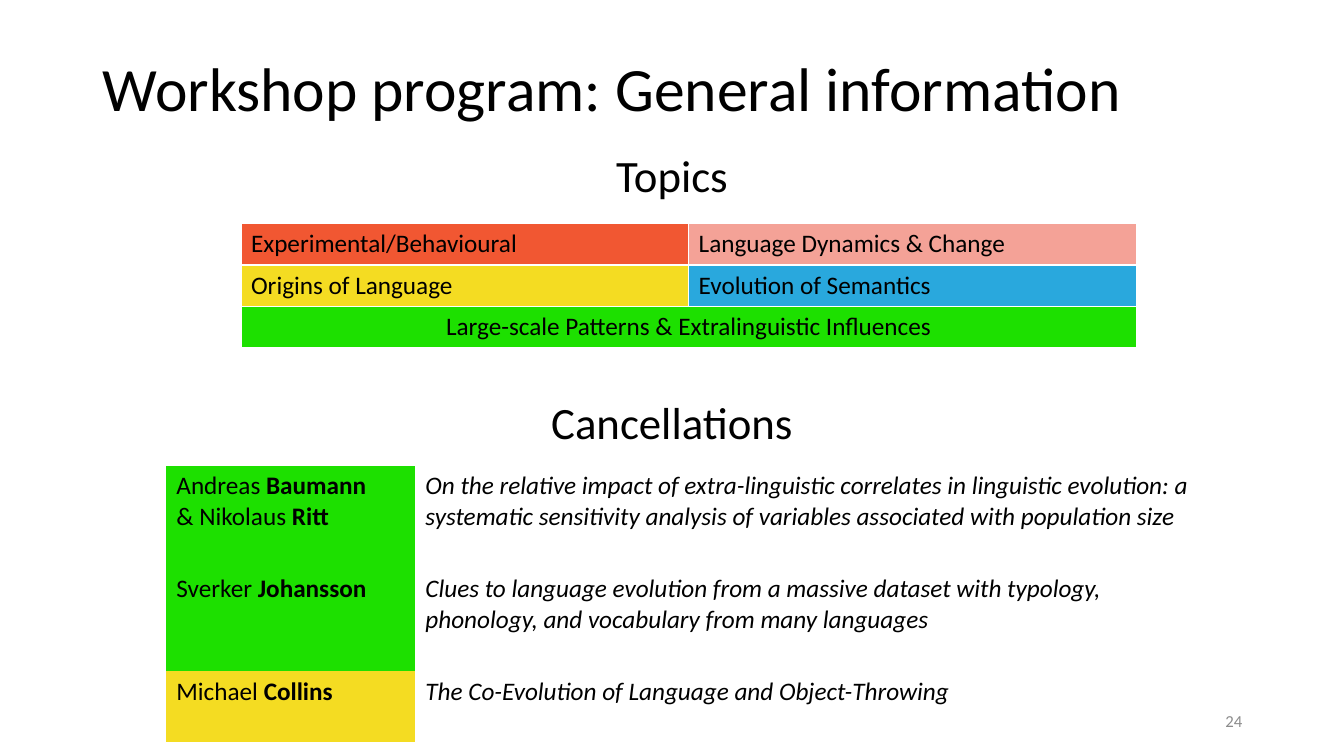
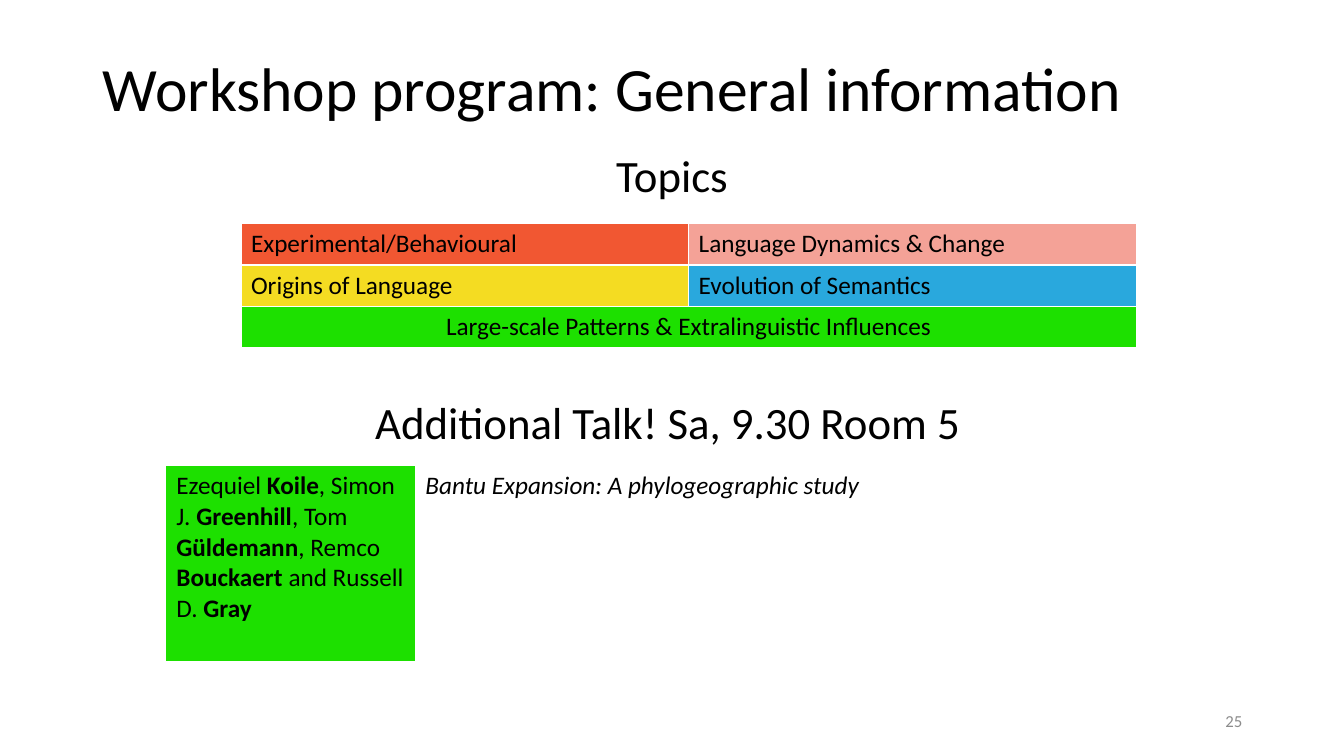
from dataclasses import dataclass

from lxml import etree
from pptx import Presentation
from pptx.dml.color import RGBColor
from pptx.enum.text import MSO_ANCHOR, MSO_AUTO_SIZE, PP_ALIGN
from pptx.oxml.ns import qn
from pptx.util import Inches, Pt

LEFT, CENTER, RIGHT = PP_ALIGN.LEFT, PP_ALIGN.CENTER, PP_ALIGN.RIGHT
MIDDLE, TOP = MSO_ANCHOR.MIDDLE, MSO_ANCHOR.TOP
TITLE_ONLY = 5
PLAIN_TABLE_STYLE = "{2D5ABB26-0587-4C30-8999-92F81FD0307C}"


@dataclass(frozen=True)
class Theme:
    font: str = "Calibri"
    title: int = 44
    heading: int = 32
    body: int = 18
    number: int = 12
    ink: str = "000000"
    muted: str = "8C8C8C"
    border: str = "FFFFFF"
    experimental: str = "F15732"
    dynamics: str = "F4A297"
    origins: str = "F4DC22"
    semantics: str = "29A8DD"
    patterns: str = "1DE000"


THEME = Theme()

TITLE = "Workshop program: General information"
TOPICS = [
    [("Experimental/Behavioural", THEME.experimental), ("Language Dynamics & Change", THEME.dynamics)],
    [("Origins of Language", THEME.origins), ("Evolution of Semantics", THEME.semantics)],
    [("Large-scale Patterns & Extralinguistic Influences", THEME.patterns)],
]

# Speakers alternate between plain and bold text; each talk ends with its row height.
PAGES = [
    {
        "number": "24",
        "heading": "Cancellations",
        "heading_at": (4.06, 5.21),
        "talks": [
            (["Andreas ", "Baumann", "\v& Nikolaus ", "Ritt"],
             "On the relative impact of extra-linguistic correlates in linguistic evolution: "
             "a systematic sensitivity analysis of variables associated with population size",
             THEME.patterns, 1.02),
            (["Sverker ", "Johansson"],
             "Clues to language evolution from a massive dataset with typology, phonology, "
             "and vocabulary from many languages",
             THEME.patterns, 1.02),
            (["Michael ", "Collins"],
             "The Co-Evolution of Language and Object-Throwing",
             THEME.origins, 0.7),
        ],
    },
    {
        "number": "25",
        "heading": "Additional Talk! Sa, 9.30 Room 5",
        "heading_at": (3.45, 6.35),
        "talks": [
            (["Ezequiel ", "Koile", ", Simon J. ", "Greenhill", ", Tom ", "Güldemann",
              ", Remco ", "Bouckaert", " and Russell D. ", "Gray"],
             "Bantu Expansion: A phylogeographic study",
             THEME.patterns, 1.94),
        ],
    },
]


def write(frame, spans, size, color=THEME.ink, align=LEFT, italic=False):
    """Fill a text frame with spans that alternate between plain and bold."""
    para = frame.paragraphs[0]
    para.alignment = align
    for index, text in enumerate(spans):
        if text.startswith("\v"):
            para.add_line_break()
        span = para.add_run()
        span.text = text.lstrip("\v")
        formats = {"name": THEME.font, "size": Pt(size), "bold": index % 2 == 1, "italic": italic}
        for name, value in formats.items():
            setattr(span.font, name, value)
        span.font.color.rgb = RGBColor.from_string(color)
    return para


def add_plain_table(page, left, top, widths, heights):
    """Add a table without fills or borders."""
    frame = page.shapes.add_table(len(heights), len(widths), Inches(left), Inches(top),
                                  Inches(sum(widths)), Inches(sum(heights)))
    table = frame.table
    table.horz_banding = False
    table._tbl.tblPr.find(qn("a:tableStyleId")).text = PLAIN_TABLE_STYLE
    for column, width in zip(table.columns, widths):
        column.width = Inches(width)
    for row, height in zip(table.rows, heights):
        row.height = Inches(height)
    return table


deck = Presentation()
deck.slide_width, deck.slide_height = Inches(13.33), Inches(7.5)

for content in PAGES:
    page = deck.slides.add_slide(deck.slide_layouts[TITLE_ONLY])

    title = page.shapes.title
    title.left, title.top = Inches(0.92), Inches(0.18)
    title.width, title.height = Inches(11.5), Inches(1.45)
    title.text_frame.auto_size = MSO_AUTO_SIZE.NONE
    title.text_frame.vertical_anchor = MIDDLE
    write(title.text_frame, [TITLE], THEME.title).line_spacing = 0.9

    # Topics, below an empty header row
    topics = add_plain_table(page, 2.39, 1.81, [4.44] * 2, [0.41] * 4)
    for cell in topics.iter_cells():
        properties = cell._tc.get_or_add_tcPr()
        for side in ("lnL", "lnR", "lnT", "lnB"):
            line = etree.SubElement(properties, qn(f"a:{side}"), w=str(Pt(1)))
            fill = etree.SubElement(line, qn("a:solidFill"))
            etree.SubElement(fill, qn("a:srgbClr"), val=THEME.border)
    for row, topic_row in enumerate(TOPICS, start=1):
        for column, (topic, color) in enumerate(topic_row):
            cell = topics.cell(row, column)
            spans_row = len(topic_row) == 1
            if spans_row:
                cell.merge(topics.cell(row, 1))
            cell.fill.solid()
            cell.fill.fore_color.rgb = RGBColor.from_string(color)
            write(cell.text_frame, [topic], THEME.body, align=CENTER if spans_row else LEFT)

    # Talks, below an empty header row that leaves room for the heading
    heights = [0.71] + [talk[-1] for talk in content["talks"]]
    talks = add_plain_table(page, 1.65, 3.91, [2.47, 7.89], heights)
    talks.cell(0, 0).merge(talks.cell(0, 1))
    for row, (speakers, talk_title, color, _) in enumerate(content["talks"], start=1):
        speaker_cell, title_cell = talks.cell(row, 0), talks.cell(row, 1)
        speaker_cell.fill.solid()
        speaker_cell.fill.fore_color.rgb = RGBColor.from_string(color)
        write(speaker_cell.text_frame, speakers, THEME.body)
        write(title_cell.text_frame, [talk_title], THEME.body, italic=True)

    heading_left, heading_width = content["heading_at"]
    labels = [
        (content["heading"], (heading_left, 3.87, heading_width, 0.64), THEME.heading, THEME.ink, CENTER, TOP),
        ("Topics", (4.06, 1.42, 5.21, 0.64), THEME.heading, THEME.ink, CENTER, TOP),
        (content["number"], (9.42, 6.95, 3, 0.4), THEME.number, THEME.muted, RIGHT, MIDDLE),
    ]
    for text, place, size, color, align, anchor in labels:
        box = page.shapes.add_textbox(*map(Inches, place))
        box.text_frame.word_wrap = True
        box.text_frame.vertical_anchor = anchor
        write(box.text_frame, [text], size, color, align)

deck.save("out.pptx")
